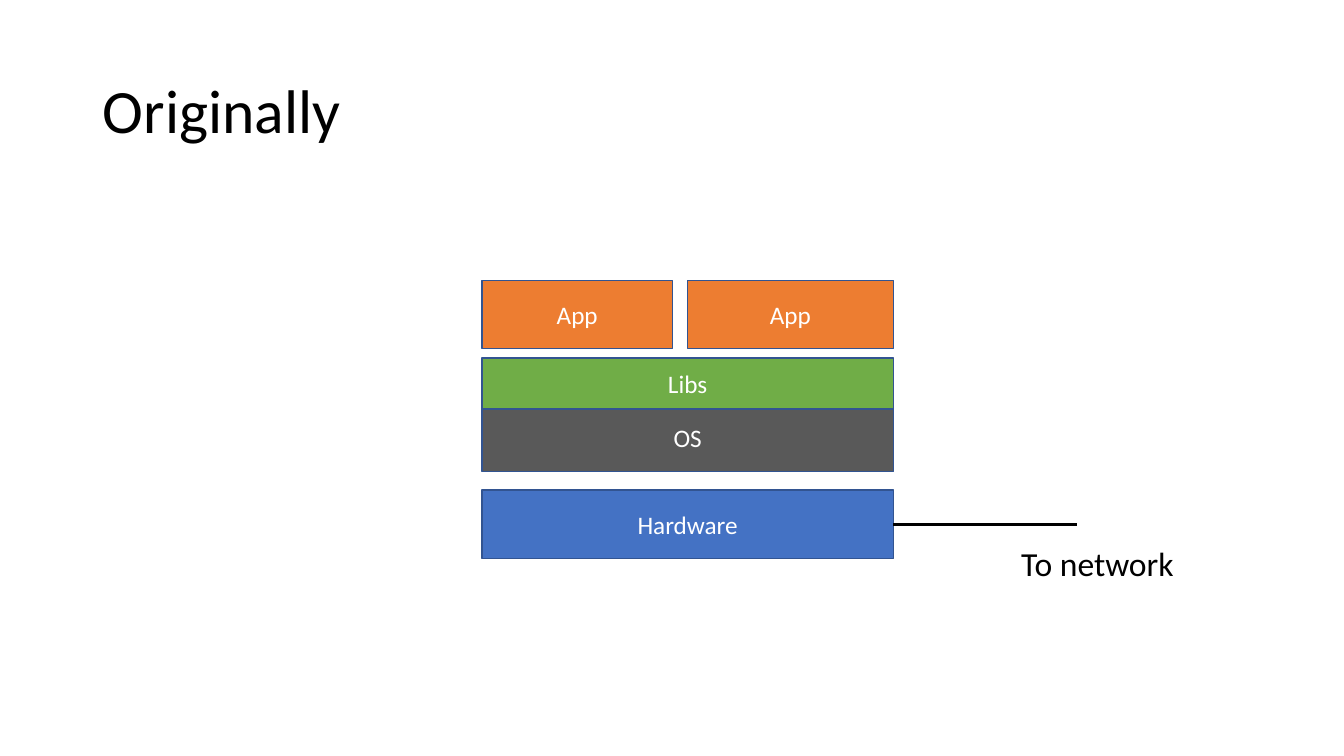
from dataclasses import dataclass

from lxml import etree
from pptx import Presentation
from pptx.dml.color import RGBColor
from pptx.enum.shapes import MSO_CONNECTOR, MSO_SHAPE
from pptx.enum.text import MSO_ANCHOR, MSO_AUTO_SIZE, PP_ALIGN
from pptx.oxml.ns import qn
from pptx.util import Emu, Pt

RECT = MSO_SHAPE.RECTANGLE
STRAIGHT = MSO_CONNECTOR.STRAIGHT
LEFT, CENTER = PP_ALIGN.LEFT, PP_ALIGN.CENTER
TOP, MIDDLE = MSO_ANCHOR.TOP, MSO_ANCHOR.MIDDLE
NO_FIT, GROW = MSO_AUTO_SIZE.NONE, MSO_AUTO_SIZE.SHAPE_TO_FIT_TEXT
TITLE_ONLY = 5
EMU_PER_PX = 9144  # 100 px to the inch


@dataclass(frozen=True)
class Theme:
    font: str = "Calibri"
    text: str = "000000"
    box_text: str = "FFFFFF"
    outline: str = "325491"
    app: str = "ED7D31"
    libs: str = "70AD47"
    os_layer: str = "595959"
    hardware: str = "4472C4"
    title_size: int = 44
    label_size: int = 24
    box_size: int = 18
    outline_width: float = 1
    cable_width: float = 2.25


def px(*values):
    return [Emu(v * EMU_PER_PX) for v in values]


def rgb(code):
    return RGBColor.from_string(code)


class Deck:
    def __init__(self, theme, width, height):
        self.theme = theme
        self.prs = Presentation()
        self.prs.slide_width, self.prs.slide_height = px(width, height)
        self.s = self.prs.slides.add_slide(self.prs.slide_layouts[TITLE_ONLY])

    def set_text(self, sp, text, size, color, align=LEFT, anchor=MIDDLE, fit=NO_FIT, spacing=1.0):
        tf = sp.text_frame
        p = tf.paragraphs[0]
        r = p.add_run()
        r.text = text
        r.font.color.rgb = rgb(color)
        formats = (
            (tf, {"word_wrap": True, "vertical_anchor": anchor, "auto_size": fit}),
            (p, {"alignment": align, "line_spacing": spacing}),
            (r.font, {"name": self.theme.font, "size": Pt(size)}),
        )
        for target, values in formats:
            for name, value in values.items():
                setattr(target, name, value)

    def title(self, text, x, y, w, h):
        sp = self.s.shapes.title
        sp.left, sp.top, sp.width, sp.height = px(x, y, w, h)
        self.set_text(sp, text, self.theme.title_size, self.theme.text, spacing=0.9)

    def box(self, text, fill, x, y, w, h):
        sp = self.s.shapes.add_shape(RECT, *px(x, y, w, h))
        sp.shadow.inherit = False
        sp.fill.solid()
        sp.fill.fore_color.rgb = rgb(fill)
        sp.line.color.rgb = rgb(self.theme.outline)
        sp.line.width = Pt(self.theme.outline_width)
        self.set_text(sp, text, self.theme.box_size, self.theme.box_text, CENTER)

    def line(self, x1, y1, x2, y2):
        sp = self.s.shapes.add_connector(STRAIGHT, *px(x1, y1, x2, y2))
        sp.line.color.rgb = rgb(self.theme.text)
        sp.line.width = Pt(self.theme.cable_width)
        etree.SubElement(sp._element.spPr, qn("a:effectLst"))

    def label(self, text, x, y, w, h):
        sp = self.s.shapes.add_textbox(*px(x, y, w, h))
        self.set_text(sp, text, self.theme.label_size, self.theme.text, anchor=TOP, fit=GROW)


def main():
    theme = Theme()
    deck = Deck(theme, 1333, 750)
    deck.title("Originally", 92, 40, 1150, 145)

    # Stack of layers; Libs comes last because it overlaps the top of OS
    left, width, height = 478, 408, 68
    right = left + width
    app_top, app_width, wide_app_width = 278, 189, 204
    layers = (
        ("Hardware", theme.hardware, left, 486, width, height),
        ("OS", theme.os_layer, left, 400, width, height),
        ("App", theme.app, left, app_top, app_width, height),
        ("App", theme.app, right - wide_app_width, app_top, wide_app_width, height),
        ("Libs", theme.libs, left, 355, width, 51),
    )
    for layer in layers:
        deck.box(*layer)

    # Network cable from the hardware
    deck.line(right, 520, 1068, 520)
    deck.label("To network", 1003, 534, 181, 50)

    deck.prs.save("out.pptx")


if __name__ == "__main__":
    main()
